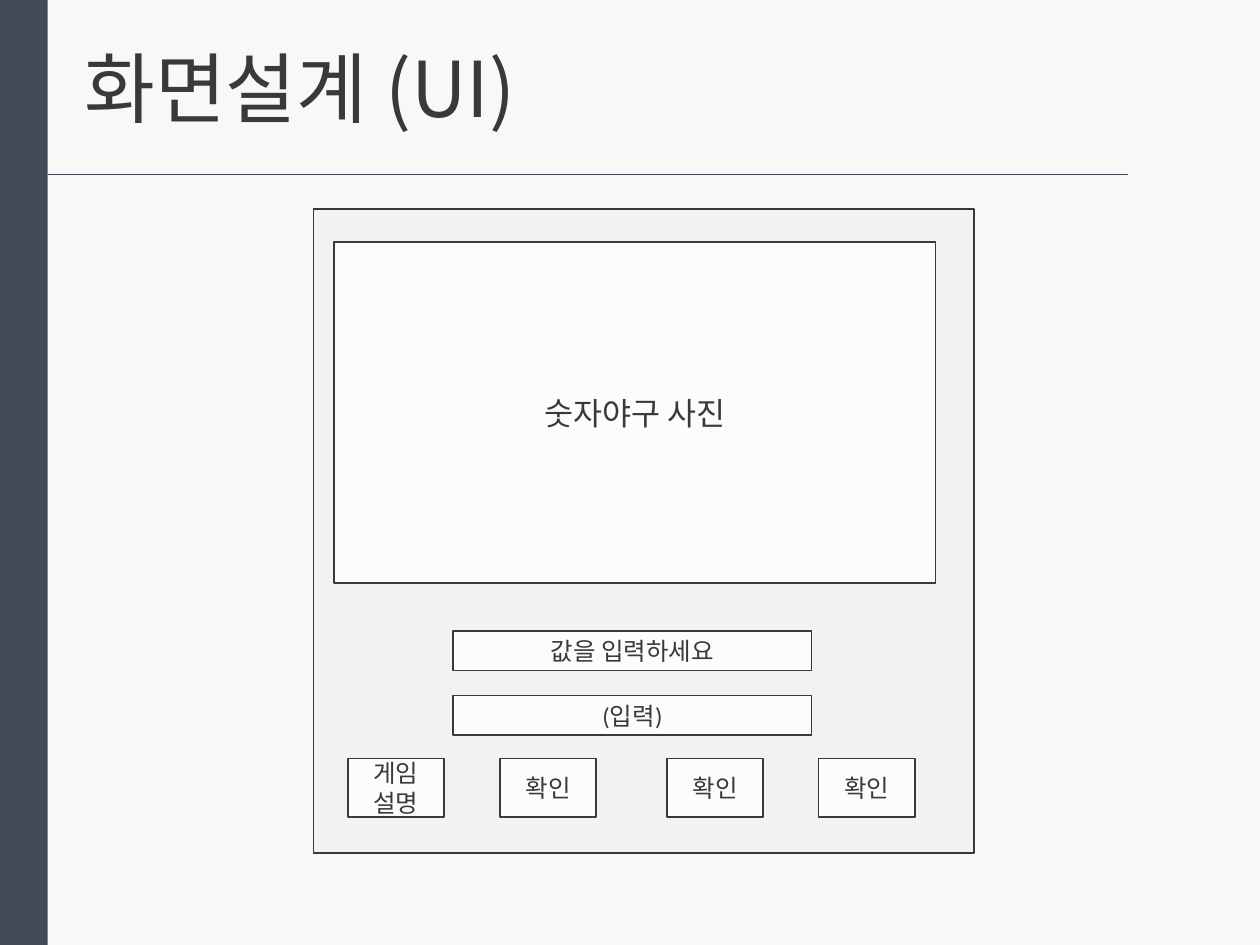
from lxml import etree
from pptx import Presentation
from pptx.dml.color import RGBColor
from pptx.enum.shapes import MSO_CONNECTOR, MSO_SHAPE
from pptx.enum.text import MSO_ANCHOR, PP_ALIGN
from pptx.oxml.ns import qn
from pptx.util import Cm, Pt

RECTANGLE = MSO_SHAPE.RECTANGLE
STRAIGHT = MSO_CONNECTOR.STRAIGHT
MIDDLE = MSO_ANCHOR.MIDDLE
CENTER = PP_ALIGN.CENTER

PAPER = RGBColor(0xF8, 0xF8, 0xF6)
SLATE = RGBColor(0x43, 0x4B, 0x56)
INK = RGBColor(0x3A, 0x38, 0x38)
PANEL = RGBColor(0xF2, 0xF2, 0xF2)
FIELD = RGBColor(0xFC, 0xFC, 0xFC)

TITLE_FONT = "Noto Sans CJK KR"
BODY_FONT = "Calibri"
KOREAN_FONT = "Noto Sans CJK KR"


def add_span(para, text, size, font):
    span = para.add_run()
    span.text = text
    span.font.size = Pt(size)
    span.font.name = font
    span.font.color.rgb = INK
    east_asian = etree.SubElement(span.font._element, qn("a:ea"))
    east_asian.set("typeface", KOREAN_FONT)


def add_box(page, left, top, width, height, fill, outline=None):
    box = page.shapes.add_shape(RECTANGLE, Cm(left), Cm(top), Cm(width), Cm(height))
    box.shadow.inherit = False
    box.fill.solid()
    box.fill.fore_color.rgb = fill
    if outline is None:
        box.line.fill.background()
    else:
        box.line.color.rgb = outline
        box.line.width = Pt(1)
    return box


def add_field(page, left, top, width, height, text, size=14):
    box = add_box(page, left, top, width, height, FIELD, INK)
    frame = box.text_frame
    frame.word_wrap = True
    frame.vertical_anchor = MIDDLE
    para = frame.paragraphs[0]
    para.alignment = CENTER
    add_span(para, text, size, BODY_FONT)


def add_rule(page, left, right, top):
    rule = page.shapes.add_connector(STRAIGHT, Cm(left), Cm(top), Cm(right), Cm(top))
    rule.line.color.rgb = SLATE
    rule.line.width = Pt(0.5)
    etree.SubElement(rule._element.spPr, qn("a:effectLst"))


def add_title(page, text):
    box = page.shapes.add_textbox(Cm(1.45), Cm(0.69), Cm(20), Cm(2.13))
    box.text_frame.word_wrap = True
    add_span(box.text_frame.paragraphs[0], text, 44, TITLE_FONT)


def main():
    deck = Presentation()
    deck.slide_width, deck.slide_height = Cm(25.4), Cm(19.05)
    page = deck.slides.add_slide(deck.slide_layouts[6])
    page.background.fill.solid()
    page.background.fill.fore_color.rgb = PAPER

    # Side band and title rule
    add_box(page, 0, 0, 0.96, 19.05, SLATE)
    add_rule(page, 0.96, 22.73, 3.52)

    # Game window with its picture area
    add_box(page, 6.32, 4.22, 13.32, 12.97, PANEL, INK)
    add_field(page, 6.73, 4.88, 12.13, 6.88, "숫자야구 사진", 18)

    # Prompt and input fields
    for row, text in enumerate(["값을 입력하세요", "(입력)"]):
        add_field(page, 9.14, 12.72 + 1.3 * row, 7.22, 0.8, text)

    # Buttons
    buttons = [(7.01, "게임 설명"), (10.08, "확인"), (13.45, "확인"), (16.5, "확인")]
    for left, text in buttons:
        add_field(page, left, 15.29, 1.94, 1.18, text)

    add_title(page, "화면설계 (UI)")
    deck.save("out.pptx")


if __name__ == "__main__":
    main()
